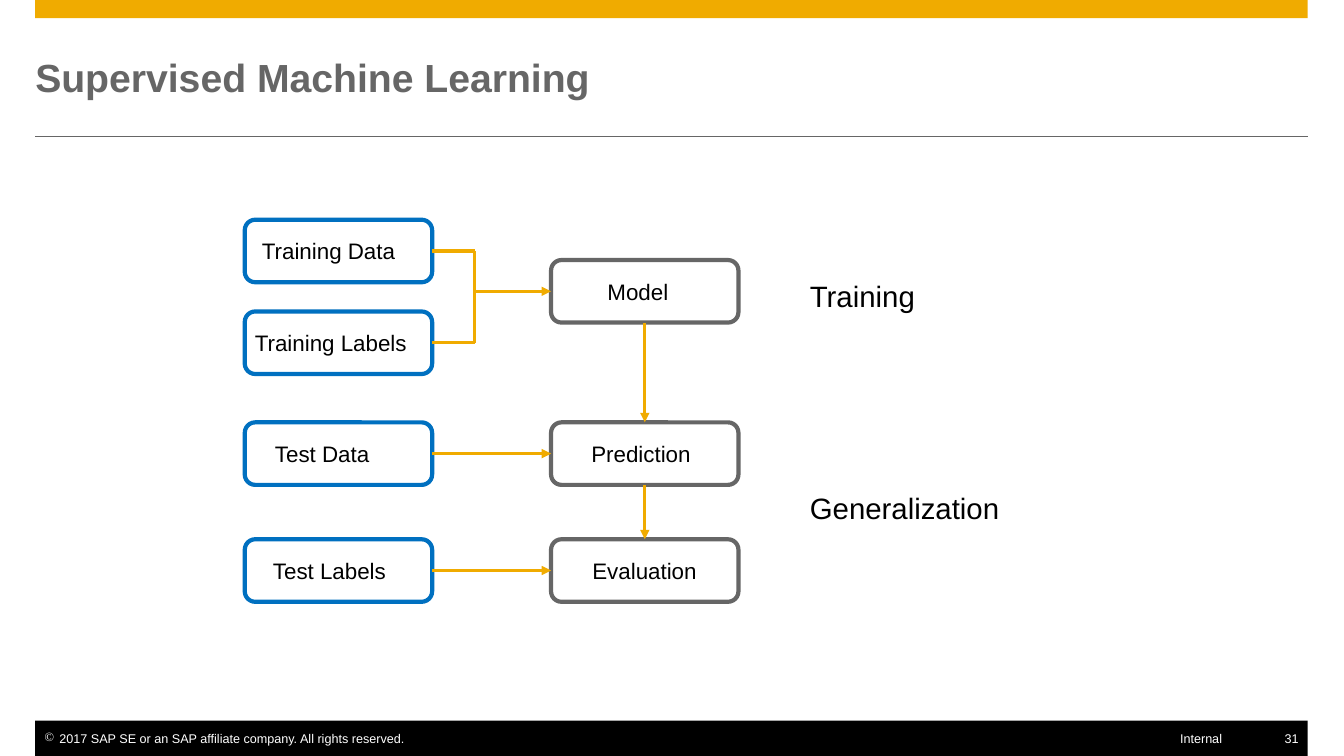
from lxml import etree
from pptx import Presentation
from pptx.dml.color import RGBColor
from pptx.enum.shapes import MSO_CONNECTOR as CONNECTOR, MSO_SHAPE as SHAPE
from pptx.enum.text import MSO_ANCHOR as ANCHOR, PP_ALIGN as ALIGN
from pptx.oxml.ns import qn
from pptx.util import Inches, Pt

GOLD, GRAY, BLUE = "F0AB00", "666666", "0070C0"
BLACK, WHITE = "000000", "FFFFFF"
TOP, LEFT, BOTTOM, RIGHT = range(4)
MARGIN, CONTENT_WIDTH = 0.35, 12.63
INPUT_LEFT, STAGE_LEFT = 2.43, 5.47
BOX_WIDTH, BOX_HEIGHT = 1.86, 0.62
JUNCTION = 4.71

BOXES = [
    ("Training Data", INPUT_LEFT, 2.18, 0.14, BLUE),
    ("Training Labels", INPUT_LEFT, 3.09, 0.07, BLUE),
    ("Test Data", INPUT_LEFT, 4.19, 0.27, BLUE),
    ("Test Labels", INPUT_LEFT, 5.35, 0.25, BLUE),
    ("Model", STAGE_LEFT, 2.58, 0.53, GRAY),
    ("Prediction", STAGE_LEFT, 4.19, 0.37, GRAY),
    ("Evaluation", STAGE_LEFT, 5.35, 0.38, GRAY),
]
FLOWS = [
    ("Test Data", RIGHT, "Prediction", LEFT),
    ("Test Labels", RIGHT, "Evaluation", LEFT),
    ("Model", BOTTOM, "Prediction", TOP),
    ("Prediction", BOTTOM, "Evaluation", TOP),
]


def color(value):
    """Return the colour for a hex string."""
    return RGBColor.from_string(value)


def set_text(shape, text, size, font_color, insets, align=ALIGN.LEFT, anchor=ANCHOR.MIDDLE):
    """Write one formatted paragraph into a shape."""
    frame = shape.text_frame
    frame.word_wrap = True
    frame.vertical_anchor = anchor
    frame.margin_left, frame.margin_top, frame.margin_right, frame.margin_bottom = map(Inches, insets)
    frame.text = text
    paragraph = frame.paragraphs[0]
    paragraph.alignment = align
    paragraph.font.name = "Arial"
    paragraph.font.size = Pt(size)
    paragraph.font.color.rgb = color(font_color)
    return paragraph


def add_title(slide, text):
    """Place and format the title placeholder."""
    title = slide.shapes.title
    title.left, title.top = Inches(MARGIN), Inches(0.35)
    title.width, title.height = Inches(CONTENT_WIDTH), Inches(0.83)
    set_text(title, text, 28, GRAY, (0, 0, 0, 0)).font.bold = True


def add_bar(slide, top, height, fill):
    """Add a filled bar across the content width."""
    bar = slide.shapes.add_shape(SHAPE.RECTANGLE, Inches(MARGIN), Inches(top),
                                 Inches(CONTENT_WIDTH), Inches(height))
    bar.shadow.inherit = False
    bar.fill.solid()
    bar.fill.fore_color.rgb = color(fill)
    bar.line.fill.background()


def add_box(slide, text, left, top, indent, outline):
    """Add an outlined rounded box with its label."""
    box = slide.shapes.add_shape(SHAPE.ROUNDED_RECTANGLE, Inches(left), Inches(top),
                                 Inches(BOX_WIDTH), Inches(BOX_HEIGHT))
    box.shadow.inherit = False
    box.fill.background()
    box.line.color.rgb = color(outline)
    box.line.width = Pt(3)
    set_text(box, text, 16, BLACK, (indent, 0, 0, 0))
    return box


def add_label(slide, text, left, top, width, height, size, font_color, insets, align=ALIGN.LEFT):
    """Add a text box and return its paragraph."""
    label = slide.shapes.add_textbox(Inches(left), Inches(top), Inches(width), Inches(height))
    return set_text(label, text, size, font_color, insets, align, ANCHOR.TOP)


def add_line(slide, start=(0, 0), end=(0, 0), line_color=GOLD, width=2.25, arrow=False):
    """Add a straight line, with an arrowhead if wanted."""
    line = slide.shapes.add_connector(CONNECTOR.STRAIGHT, *map(Inches, (*start, *end)))
    line.line.color.rgb = color(line_color)
    line.line.width = Pt(width)
    if arrow:
        etree.SubElement(line.line._get_or_add_ln(), qn("a:tailEnd"), type="triangle")
    etree.SubElement(line._element.spPr, qn("a:effectLst"))
    return line


def add_bullet(paragraph, character, bullet_color, indent):
    """Give a paragraph a coloured bullet and a hanging indent."""
    properties = paragraph._p.get_or_add_pPr()
    properties.set("marL", str(Inches(indent)))
    properties.set("indent", str(-Inches(indent)))
    bullet = etree.Element(qn("a:buChar"), char=character)
    properties.insert(0, bullet)
    tint = etree.Element(qn("a:buClr"))
    etree.SubElement(tint, qn("a:srgbClr"), val=bullet_color)
    properties.insert(0, tint)


def add_footer(slide):
    """Add the footer bar and its texts."""
    add_bar(slide, 7.15, 0.35, BLACK)
    notice = add_label(slide, "2017 SAP SE or an SAP affiliate company. All rights reserved.",
                       MARGIN, 7.25, 4, 0.15, 9, WHITE, (0.09, 0, 0, 0))
    add_bullet(notice, "©", WHITE, 0.15)
    add_label(slide, "Internal", 10.76, 7.25, 1.37, 0.15, 9, WHITE, (0, 0, 0, 0), ALIGN.RIGHT)
    add_label(slide, "31", 12.73, 7.25, 0.25, 0.15, 9, WHITE, (0, 0, 0.09, 0), ALIGN.RIGHT)


def add_diagram(slide):
    """Add the boxes and the flows between them."""
    boxes = {name: add_box(slide, name, *place) for name, *place in BOXES}
    middles = {name: round(top + BOX_HEIGHT / 2, 2) for name, left, top, *rest in BOXES}
    sources = ("Training Data", "Training Labels")
    for name in sources:
        branch = add_line(slide, end=(JUNCTION, middles[name]))
        branch.begin_connect(boxes[name], RIGHT)
    add_line(slide, *[(JUNCTION, middles[name]) for name in sources])
    entry = add_line(slide, start=(JUNCTION, middles["Model"]), arrow=True)
    entry.end_connect(boxes["Model"], LEFT)
    for source, source_side, target, target_side in FLOWS:
        flow = add_line(slide, arrow=True)
        flow.begin_connect(boxes[source], source_side)
        flow.end_connect(boxes[target], target_side)


def main():
    """Build and save the slide."""
    presentation = Presentation()
    presentation.slide_width, presentation.slide_height = Inches(13.34), Inches(7.5)
    slide = presentation.slides.add_slide(presentation.slide_layouts[5])
    add_bar(slide, 0, 0.18, GOLD)
    add_line(slide, (MARGIN, 1.35), (MARGIN + CONTENT_WIDTH, 1.35), GRAY, 0.5)
    add_footer(slide)
    add_title(slide, "Supervised Machine Learning")
    add_diagram(slide)
    for phase, top in (("Training", 2.71), ("Generalization", 4.81)):
        add_label(slide, phase, 7.94, top, 2.3, 0.45, 21, BLACK, (0.1, 0.05, 0.1, 0.05))
    presentation.save("out.pptx")


if __name__ == "__main__":
    main()
